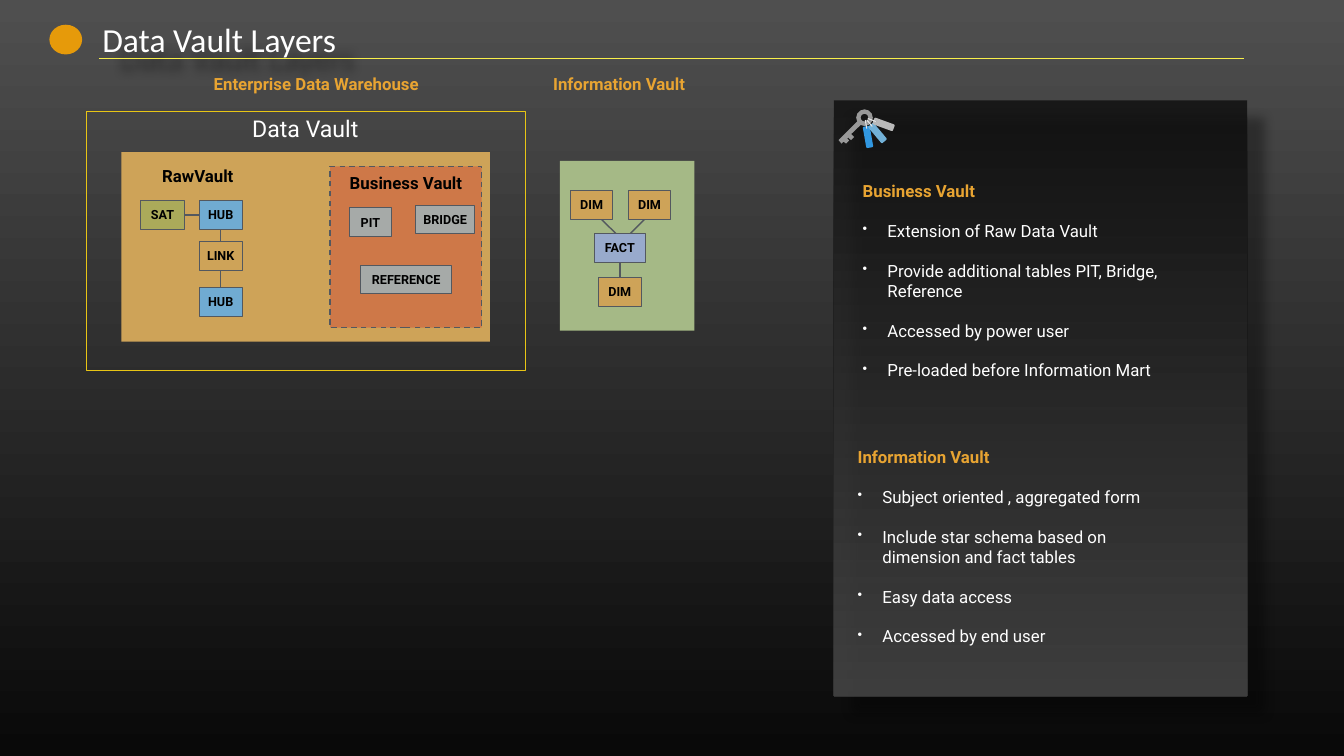
"""Build the Data Vault Layers slide."""
import dataclasses
import math

import lxml.etree
import pptx
import pptx.dml.color
import pptx.enum.dml
import pptx.enum.shapes
import pptx.enum.text
import pptx.oxml
import pptx.oxml.ns
import pptx.util

Inches = pptx.util.Inches
Pt = pptx.util.Pt
KIND = pptx.enum.shapes.MSO_SHAPE
ALIGN = pptx.enum.text.PP_ALIGN
qn = pptx.oxml.ns.qn


@dataclasses.dataclass(frozen=True)
class Theme:
    white: str = "FFFFFF"
    black: str = "000000"
    gold: str = "E8A432"
    rule: str = "F8EF4A"
    frame: str = "E8C515"
    edge: str = "53585F"
    sand: str = "CEA358"
    rust: str = "CE7848"
    sage: str = "A5B986"
    olive: str = "ABAA5A"
    sky: str = "70ABD2"
    iris: str = "98AACC"
    gray: str = "A6AAA8"
    mark: str = "E69A0A"
    key: str = "999999"
    string: str = "E5E5E5"
    shade: str = "010101"
    light: str = "4F4F4F"
    dark: str = "090909"
    sans: str = "Roboto"
    head: str = "Calibri"
    title: int = 48
    large: int = 33
    body: int = 24
    small: int = 18


T = Theme()


def rgb(code):
    return pptx.dml.color.RGBColor.from_string(code)


def apply(item, vals):
    for name, val in vals.items():
        setattr(item, name, val)


def add_sub(node, tag, **vals):
    return lxml.etree.SubElement(node, qn(tag), {k: str(v) for k, v in vals.items()})


def blend(fill, tones, alpha=None):
    fill.gradient()
    fill.gradient_angle = 270
    for stop, tone in zip(fill.gradient_stops, tones):
        stop.color.rgb = rgb(tone)
    if alpha:
        for node in fill._xPr.iter(qn("a:srgbClr")):
            add_sub(node, "a:alpha", val=alpha * 1000)


def cast(shape):
    shape.shadow.inherit = False
    glow = add_sub(shape.element.spPr.find(qn("a:effectLst")), "a:outerShdw",
                   blurRad=Pt(15), dist=Pt(36), dir=45 * 60000, rotWithShape=0)
    add_sub(add_sub(glow, "a:srgbClr", val=T.shade), "a:alpha", val=46000)


def paint(shape, fill=None, edge=None, width=1):
    shape.shadow.inherit = False
    if fill:
        shape.fill.solid()
        shape.fill.fore_color.rgb = rgb(fill)
    else:
        shape.fill.background()
    if edge:
        shape.line.color.rgb = rgb(edge)
        shape.line.width = Pt(width)
    else:
        shape.line.fill.background()


def add_box(slide, at, fill=None, edge=None, width=1, kind=KIND.RECTANGLE):
    shape = slide.shapes.add_shape(kind, *map(Inches, at))
    paint(shape, fill, edge, width)
    return shape


def set_frame(frame):
    vals = {"margin_" + side: Inches(0.08) for side in ("left", "top", "right", "bottom")}
    apply(frame, vals | {"word_wrap": True,
                         "vertical_anchor": pptx.enum.text.MSO_ANCHOR.MIDDLE})


def add_run(para, text, size, tone, bold=False, face=T.sans):
    run = para.add_run()
    run.text = text
    apply(run.font, {"size": Pt(size), "name": face, "bold": bold})
    run.font.color.rgb = rgb(tone)


def add_text(slide, at, text, size, tone, bold=False, face=T.sans, align=ALIGN.CENTER):
    box = slide.shapes.add_textbox(*map(Inches, at))
    set_frame(box.text_frame)
    para = box.text_frame.paragraphs[0]
    para.alignment = align
    add_run(para, text, size, tone, bold, face)
    return box


def add_node(slide, text, x, y, fill, wide=0.84):
    box = add_box(slide, (x, y, wide, 0.57), fill, T.edge)
    set_frame(box.text_frame)
    para = box.text_frame.paragraphs[0]
    para.alignment = ALIGN.CENTER
    add_run(para, text, T.small, T.black, True)
    return box


def add_line(slide, ends, tone=T.edge, width=2):
    line = slide.shapes.add_connector(
        pptx.enum.shapes.MSO_CONNECTOR.STRAIGHT, *map(Inches, ends))
    line.line.color.rgb = rgb(tone)
    line.line.width = Pt(width)
    add_sub(line.element.spPr, "a:effectLst")
    return line


def join(slide, first, out, last, into):
    line = add_line(slide, (0, 0, 0, 0))
    line.begin_connect(first, out)
    line.end_connect(last, into)


def add_list(slide, x, y, head, rows):
    box = add_text(slide, (x, y, 6.46, 4.13), head, T.body, T.gold, True, align=ALIGN.LEFT)
    for row in rows:
        para = box.text_frame.add_paragraph()
        prop = para._p.get_or_add_pPr()
        apply(para, {"space_before": Pt(28)})
        prop.set("marL", str(Inches(0.49)))
        prop.set("indent", str(Inches(-0.49)))
        add_sub(add_sub(prop, "a:buClr"), "a:srgbClr", val=T.white)
        add_sub(prop, "a:buSzPct", val=80000)
        add_sub(prop, "a:buChar", char="•")
        add_run(para, row, T.body, T.white)


def add_keys(slide):
    teeth = [(17.06, 2.36), (16.64, 2.78), (16.7, 2.85), (16.74, 2.81), (16.79, 2.85),
             (16.85, 2.79), (16.81, 2.74), (16.83, 2.73), (16.89, 2.78), (16.95, 2.72),
             (16.89, 2.66), (17.11, 2.45)]
    spots = [tuple(map(Inches, spot)) for spot in teeth]
    pen = slide.shapes.build_freeform(*spots[0])
    pen.add_line_segments(spots[1:])
    paint(pen.convert_to_shape(), T.key)
    ring = add_box(slide, (16.99, 2.17, 0.33, 0.33), T.key, kind=KIND.DONUT)
    ring.adjustments[0] = 0.27
    for x, y, turn, fill, hole in ((17.2, 2.55, 80, "3197E0", "3484C9"),
                                   (17.31, 2.51, 50, "72B1D7", "649ABC"),
                                   (17.38, 2.41, 20, "B9B9B9", "999999")):
        dx, dy = (0.17 * f(math.radians(turn)) for f in (math.cos, math.sin))
        tag = add_box(slide, (x + dx - 0.22, y + dy - 0.07, 0.43, 0.14), fill,
                      kind=KIND.ROUNDED_RECTANGLE)
        tag.rotation = turn
        tag.adjustments[0] = 0.19
        add_box(slide, (x - 0.02, y - 0.02, 0.03, 0.03), hole, kind=KIND.OVAL)
        add_line(slide, (x - dx, y - dy, x, y), T.string, 1.5)


def add_raw(slide):
    add_box(slide, (1.71, 2.2, 8.71, 5.15), edge=T.frame)
    add_box(slide, (2.41, 3.02, 7.31, 3.76), T.sand)
    add_text(slide, (4.46, 2.24, 3.2, 0.61), "Data Vault", T.large, T.white)
    add_text(slide, (3.02, 3.2, 1.81, 0.59), "RawVault", T.body, T.black, True)
    sat = add_node(slide, "SAT", 2.79, 3.98, T.olive, 0.87)
    hub, link, base = [add_node(slide, text, 3.96, y, fill) for text, y, fill in
                       (("HUB", 3.98, T.sky), ("LINK", 4.79, T.sand), ("HUB", 5.7, T.sky))]
    join(slide, sat, 3, hub, 1)
    join(slide, hub, 2, link, 0)
    join(slide, link, 2, base, 0)


def add_biz(slide):
    box = add_box(slide, (6.55, 3.3, 3.01, 3.2), T.rust, T.edge, 2)
    box.line.dash_style = pptx.enum.dml.MSO_LINE.DASH
    add_text(slide, (6.72, 3.18, 2.67, 0.88), "Business Vault", T.body, T.black, True)
    for text, x, y, wide in (("PIT", 6.93, 4.12, 0.84), ("REFERENCE", 7.16, 5.26, 1.8),
                             ("BRIDGE", 8.25, 4.07, 1.17)):
        add_node(slide, text, x, y, T.gray, wide)


def add_star(slide):
    add_box(slide, (11.11, 3.19, 2.67, 3.37), T.sage)
    add_line(slide, (12.96, 4.18, 12.36, 4.78))
    add_line(slide, (11.86, 4.28, 12.27, 4.68))
    for x in (11.32, 12.47):
        add_node(slide, "DIM", x, 3.78, T.sand)
    fact = add_node(slide, "FACT", 11.8, 4.63, T.iris, 1)
    join(slide, fact, 2, add_node(slide, "DIM", 11.88, 5.5, T.sand), 0)


def add_card(slide):
    card = add_box(slide, (16.55, 1.99, 8.2, 11.82))
    blend(card.fill, (T.dark, T.light), 75)
    cast(card)
    add_keys(slide)
    add_list(slide, 17.04, 3.5, "Business Vault", (
        "Extension of Raw Data Vault", "Provide additional tables PIT, Bridge, Reference",
        "Accessed by power user", "Pre-loaded before Information Mart"))
    add_list(slide, 16.94, 8.78, "Information Vault", (
        "Subject oriented , aggregated form",
        "Include star schema based on dimension and fact tables",
        "Easy data access", "Accessed by end user"))


def main():
    deck = pptx.Presentation()
    apply(deck, {"slide_width": Inches(26.67), "slide_height": Inches(15)})
    slide = deck.slides.add_slide(deck.slide_layouts[6])
    blend(slide.background.fill, (T.light, T.dark))
    cast(add_text(slide, (1.95, 0.39, 10.57, 0.77), "Data Vault Layers", T.title,
                  T.white, face=T.head, align=ALIGN.LEFT))
    add_line(slide, (1.97, 1.15, 24.69, 1.15), T.rule, 1)
    add_box(slide, (0.98, 0.49, 0.65, 0.59), T.mark, kind=KIND.OVAL)
    for x, text in ((3.74, "Enterprise Data Warehouse"), (9.75, "Information Vault")):
        add_text(slide, (x, 1.36, 5.07, 0.61), text, T.body, T.gold, True)
    add_raw(slide)
    add_biz(slide)
    add_star(slide)
    add_card(slide)
    deck.save("out.pptx")


if __name__ == "__main__":
    main()
